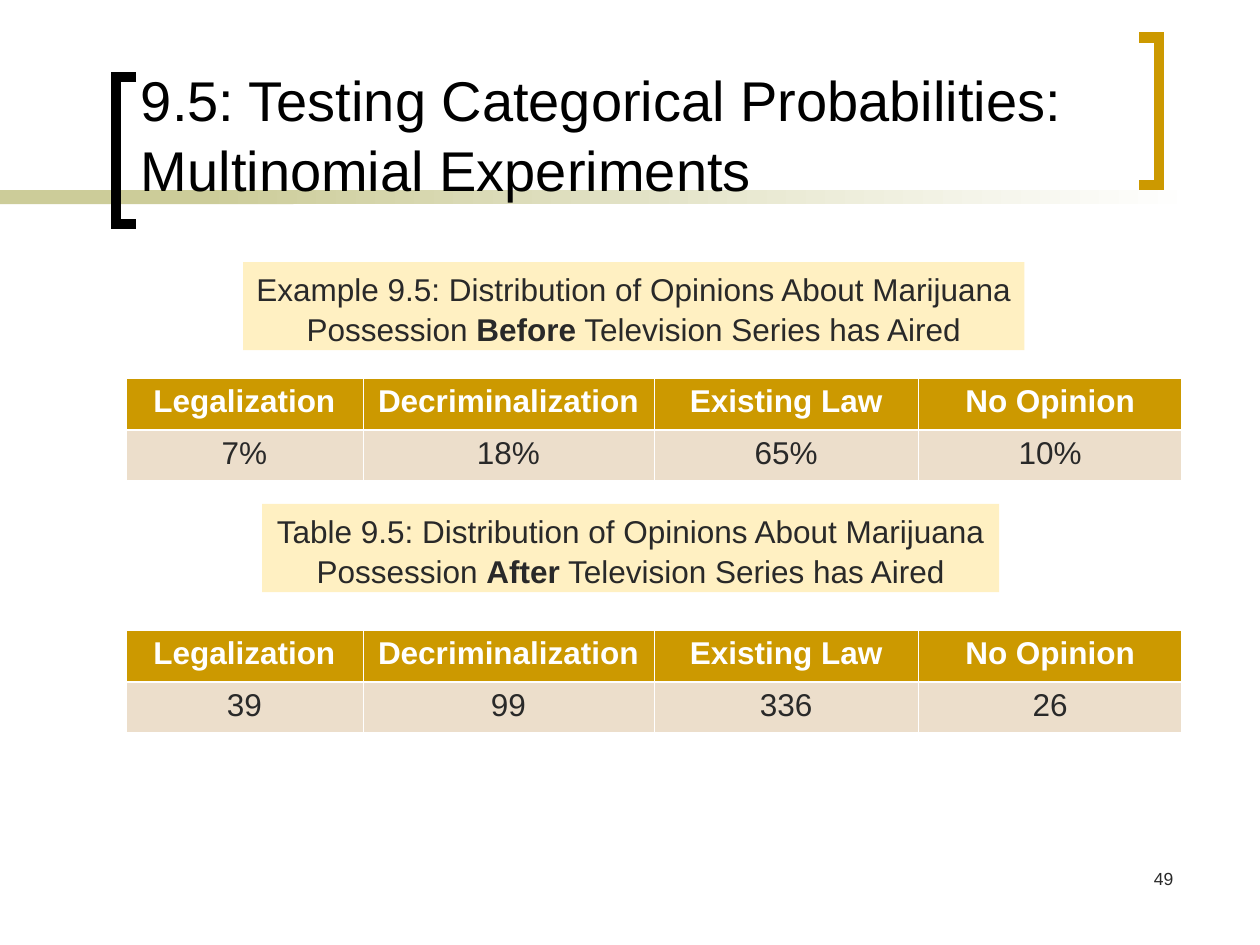
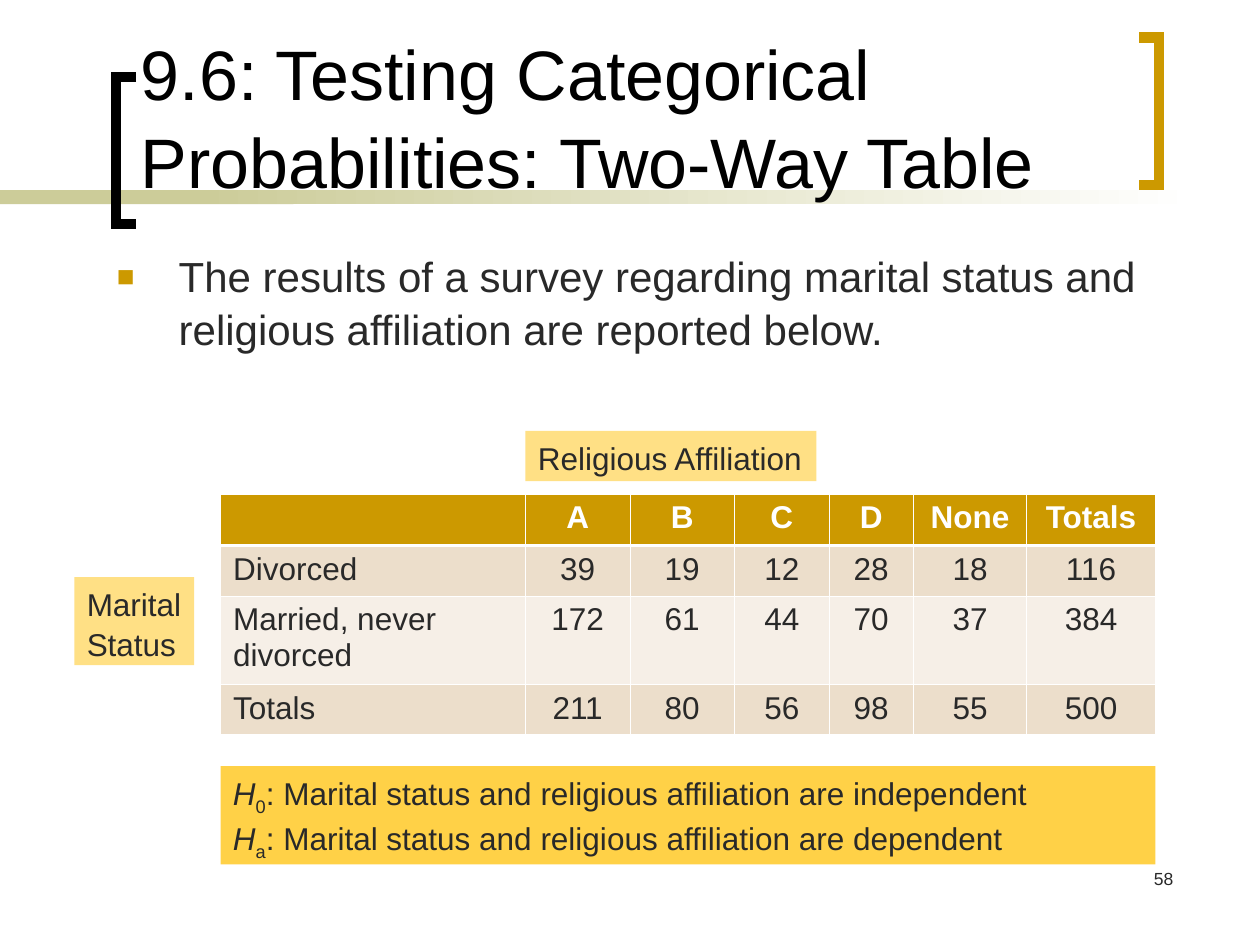
from lxml.etree import SubElement
from pptx import Presentation
from pptx.dml.color import RGBColor
from pptx.enum.shapes import MSO_SHAPE
from pptx.enum.text import MSO_ANCHOR, PP_ALIGN
from pptx.oxml import parse_xml
from pptx.oxml.ns import nsdecls, qn
from pptx.util import Pt

PX = 9144  # EMU in one px, at 100 px to the inch
FONT = "Arial"
COLORS = {
    "black": "000000", "white": "FFFFFF", "text": "292929",
    "gold": "CC9900", "olive": "CCCC99",
    "cream": "FFF0C2", "yellow": "FFE085", "amber": "FFD147",
    "row_dark": "ECDECB", "row_light": "F6EFE7",
}


def rgb(name):
    return RGBColor.from_string(COLORS[name])


def write(tf, text, size=18, color="text", bold=False, align=PP_ALIGN.LEFT, spacing=1.05):
    """Each line is a string or a list of (string, style), style being "", "b", "i" or "sub"."""
    lines = [text] if isinstance(text, str) else text
    for n, line in enumerate(lines):
        p = tf.add_paragraph() if n else tf.paragraphs[0]
        p.alignment = align
        p.line_spacing = spacing
        for part, style in [(line, "")] if isinstance(line, str) else line:
            r = p.add_run()
            r.text = part
            r.font.name = FONT
            r.font.size = Pt(size)
            r.font.color.rgb = rgb(color)
            r.font.bold = bold or style == "b"
            r.font.italic = style == "i"
            if style == "sub":
                r.font._element.set("baseline", "-25000")


class Deck:
    def __init__(self, width, height):
        self.prs = Presentation()
        self.prs.slide_width = width * PX
        self.prs.slide_height = height * PX
        self.s = None

    def slide(self, title, number, title_size):
        self.s = self.prs.slides.add_slide(self.prs.slide_layouts[6])
        # Band under the title
        self.rect(0, 151, 233, 11, "olive")
        fade = self.rect(158, 151, 792, 11, "olive").fill
        fade.gradient()
        fade.gradient_angle = 0
        for stop, color, position in zip(fade.gradient_stops, ("olive", "white"), (0, 1)):
            stop.color.rgb = rgb(color)
            stop.position = position
        # Brackets around the title
        self.bracket(108, 92, 61, "black")
        self.bracket(904, 920, 30, "gold")
        # Title and page number
        self.text(102, 11, 783, 155, title, size=title_size, color="black",
                  anchor=MSO_ANCHOR.BOTTOM)
        self.text(733, 683, 208, 50, str(number), size=10, align=PP_ALIGN.RIGHT)

    def rect(self, x, y, w, h, color):
        sp = self.s.shapes.add_shape(MSO_SHAPE.RECTANGLE, x * PX, y * PX, w * PX, h * PX)
        sp.shadow.inherit = False
        sp.fill.solid()
        sp.fill.fore_color.rgb = rgb(color)
        sp.line.fill.background()
        return sp

    def bracket(self, tip, spine, top, color, height=117):
        fb = self.s.shapes.build_freeform(tip, top, scale=PX)
        fb.add_line_segments([(spine, top), (spine, top + height), (tip, top + height)],
                             close=False)
        sp = fb.convert_to_shape()
        sp.shadow.inherit = False
        sp.fill.background()
        sp.line.color.rgb = rgb(color)
        sp.line.width = Pt(6)
        SubElement(sp.line._ln, qn("a:miter"), lim="800000")

    def text(self, x, y, w, h, text, anchor=MSO_ANCHOR.TOP, **fmt):
        tf = self.s.shapes.add_textbox(x * PX, y * PX, w * PX, h * PX).text_frame
        tf.word_wrap = True
        tf.vertical_anchor = anchor
        write(tf, text, **fmt)
        return tf

    def label(self, x, y, w, h, text, color, **fmt):
        tf = self.rect(x, y, w, h, color).text_frame
        tf.word_wrap = False
        tf.vertical_anchor = MSO_ANCHOR.TOP
        write(tf, text, **fmt)

    def bullet(self, x, y, w, h, text, indent=49):
        tf = self.text(x, y, w, h, text, size=24)
        pPr = tf.paragraphs[0]._p.get_or_add_pPr()
        pPr.set("marL", str(indent * PX))
        pPr.set("indent", str(-indent * PX))
        color = SubElement(pPr, qn("a:buClr"))
        SubElement(color, qn("a:srgbClr"), val=COLORS["gold"])
        SubElement(pPr, qn("a:buSzPct"), val="70000")
        SubElement(pPr, qn("a:buFont"), typeface=FONT)
        SubElement(pPr, qn("a:buChar"), char="■")

    def table(self, x, y, widths, heights, rows, first_align=PP_ALIGN.CENTER):
        table = self.s.shapes.add_table(len(rows), len(widths), x * PX, y * PX,
                                        sum(widths) * PX, sum(heights) * PX).table
        for column, width in zip(table.columns, widths):
            column.width = width * PX
        for i, (row, height) in enumerate(zip(rows, heights)):
            table.rows[i].height = height * PX
            fill = "gold" if i == 0 else "row_dark" if i % 2 else "row_light"
            for j, value in enumerate(row):
                cell = table.cell(i, j)
                cell.fill.solid()
                cell.fill.fore_color.rgb = rgb(fill)
                self.borders(cell, i)
                if value:
                    write(cell.text_frame, value, bold=i == 0,
                          color="white" if i == 0 else "text", spacing=1.0,
                          align=PP_ALIGN.CENTER if j else first_align)

    def borders(self, cell, row):
        """Thin white lines, with a thicker one below the header."""
        tcPr = cell._tc.get_or_add_tcPr()
        thick_side = {0: "B", 1: "T"}.get(row)
        for n, side in enumerate("LRTB"):
            width = Pt(1.47 if side == thick_side else 0.45)
            tcPr.insert(n, parse_xml(
                f'<a:ln{side} {nsdecls("a")} w="{width}"><a:solidFill>'
                f'<a:srgbClr val="{COLORS["white"]}"/></a:solidFill></a:ln{side}>'))


def opinions_slide(deck):
    deck.slide("9.5: Testing Categorical Probabilities: Multinomial Experiments", 49, 32)
    header = ["Legalization", "Decriminalization", "Existing Law", "No Opinion"]
    surveys = [
        ("Example", "Before", 193, 208, 620, 300, ["7%", "18%", "65%", "10%"]),
        ("Table", "After", 208, 400, 585, 500, ["39", "99", "336", "26"]),
    ]
    for kind, when, x, y, w, table_y, values in surveys:
        caption = [f"{kind} 9.5: Distribution of Opinions About Marijuana",
                   [("Possession ", ""), (when, "b"), (" Television Series has Aired", "")]]
        deck.label(x, y, w, 70, caption, "cream", align=PP_ALIGN.CENTER)
        deck.table(100, table_y, [188, 231, 210, 209], [41, 40], [header, values])


def two_way_slide(deck):
    deck.slide("9.6: Testing Categorical Probabilities: Two-Way Table", 58, 40)
    deck.bullet(83, 192, 838, 158, "The results of a survey regarding marital status and "
                "religious affiliation are reported below.")
    # Contingency table with its two labels
    deck.table(175, 392, [242, 83, 83, 75, 67, 90, 102], [41, 40, 70, 40], [
        ["", "A", "B", "C", "D", "None", "Totals"],
        ["Divorced", "39", "19", "12", "28", "18", "116"],
        ["Married, never divorced", "172", "61", "44", "70", "37", "384"],
        ["Totals", "211", "80", "56", "98", "55", "500"],
    ], first_align=PP_ALIGN.LEFT)
    deck.label(59, 458, 95, 70, ["Marital", "Status"], "yellow")
    deck.label(417, 342, 231, 40, "Religious Affiliation", "yellow")
    # Hypotheses
    hypotheses = [[("H", "i"), (sub, "sub"),
                   (f": Marital status and religious affiliation are {claim}", "")]
                  for sub, claim in (("0", "independent"), ("a", "dependent"))]
    deck.label(175, 608, 742, 78, hypotheses, "amber")


def main():
    deck = Deck(1000, 750)
    opinions_slide(deck)
    two_way_slide(deck)
    deck.prs.save("out.pptx")


if __name__ == "__main__":
    main()
